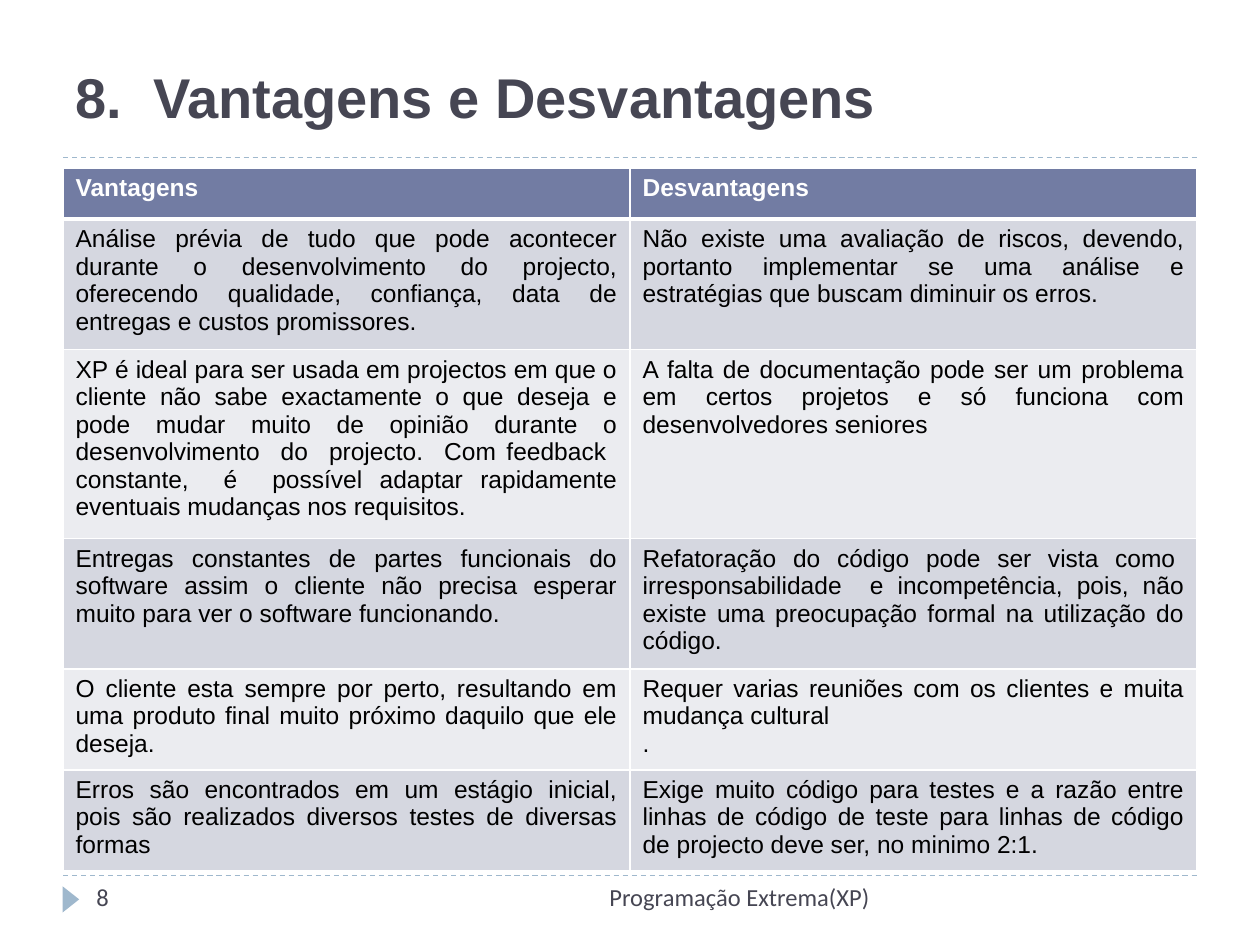
from dataclasses import dataclass

from lxml.etree import SubElement
from pptx import Presentation
from pptx.dml.color import RGBColor
from pptx.enum.dml import MSO_LINE
from pptx.enum.shapes import MSO_CONNECTOR, MSO_SHAPE
from pptx.enum.text import MSO_ANCHOR, PP_ALIGN
from pptx.oxml.ns import qn
from pptx.util import Pt


@dataclass(frozen=True)
class Theme:
    """Colours, fonts and type sizes of the slide."""
    ink: str = "464653"
    accent: str = "9FB8CD"
    header: str = "727CA3"
    bands: tuple = ("D5D7E0", "EBECF0")
    white: str = "FFFFFF"
    black: str = "000000"
    heading_font: str = "Arial"
    footer_font: str = "Calibri"
    title_size: int = 32
    text_size: int = 14


THEME = Theme()
LEFT, WIDTH = 36, 648
ROW_HEIGHT = 29.2

ROWS = [
    ("Vantagens", "Desvantagens"),
    ("Análise prévia de tudo que pode acontecer durante o desenvolvimento do projecto, "
     "oferecendo qualidade, confiança, data de entregas e custos promissores.",
     "Não existe uma avaliação de riscos, devendo, portanto implementar se uma análise e "
     "estratégias que buscam diminuir os erros."),
    ("XP é ideal para ser usada em projectos em que o cliente não sabe exactamente o que "
     "deseja e pode mudar muito de opinião durante o desenvolvimento  do  projecto.  Com "
     "feedback  constante,  é  possível adaptar rapidamente eventuais mudanças nos requisitos.",
     "A falta de documentação pode ser um problema em certos projetos e só funciona com "
     "desenvolvedores seniores"),
    ("Entregas constantes de partes funcionais do software assim o cliente não precisa "
     "esperar muito para ver o software funcionando.",
     "Refatoração  do  código  pode  ser  vista  como  irresponsabilidade  e incompetência, "
     "pois, não existe uma preocupação formal na utilização do código."),
    ("O cliente esta sempre por perto, resultando em uma produto final muito próximo "
     "daquilo que ele deseja.",
     "Requer varias reuniões com os clientes e muita mudança cultural\n."),
    ("Erros são encontrados em um estágio inicial, pois são realizados diversos testes de "
     "diversas formas",
     "Exige muito código para testes e a razão entre linhas de código de teste para linhas "
     "de código de projecto deve ser, no minimo 2:1."),
]


def style_text(frame, font, size, color, bold=False, align=PP_ALIGN.LEFT):
    """Format every paragraph and run of a text frame."""
    for para in frame.paragraphs:
        para.alignment = align
        for span in para.runs:
            span.font.name = font
            span.font.size = Pt(size)
            span.font.bold = bold
            span.font.color.rgb = RGBColor.from_string(color)


def add_text(page, text, left, top, width, height, anchor=MSO_ANCHOR.TOP, **style):
    """Add a wrapping text box in the ink colour."""
    box = page.shapes.add_textbox(Pt(left), Pt(top), Pt(width), Pt(height))
    frame = box.text_frame
    frame.word_wrap = True
    frame.vertical_anchor = anchor
    frame.text = text
    style_text(frame, color=THEME.ink, **style)


def add_rule(page, top):
    """Add a dashed rule across the content width."""
    rule = page.shapes.add_connector(
        MSO_CONNECTOR.STRAIGHT, Pt(LEFT), Pt(top), Pt(LEFT + WIDTH), Pt(top))
    rule.line.color.rgb = RGBColor.from_string(THEME.accent)
    rule.line.width = Pt(0.75)
    rule.line.dash_style = MSO_LINE.DASH
    SubElement(rule.element.spPr, qn("a:effectLst"))


def add_marker(page):
    """Add the triangle that points at the page number."""
    marker = page.shapes.add_shape(
        MSO_SHAPE.ISOSCELES_TRIANGLE, Pt(33), Pt(509.2), Pt(15), Pt(9.5))
    marker.rotation = 90
    marker.shadow.inherit = False
    marker.fill.solid()
    marker.fill.fore_color.rgb = RGBColor.from_string(THEME.accent)
    marker.line.fill.background()


def set_borders(cell, bottom=1, top=1):
    """Draw white borders around a table cell."""
    properties = cell._tc.get_or_add_tcPr()
    for side, width in (("lnL", 1), ("lnR", 1), ("lnT", top), ("lnB", bottom)):
        line = SubElement(properties, qn(f"a:{side}"), w=str(Pt(width)))
        fill = SubElement(line, qn("a:solidFill"))
        SubElement(fill, qn("a:srgbClr"), val=THEME.white)


def add_comparison(page):
    """Add the table of advantages and disadvantages."""
    table = page.shapes.add_table(
        len(ROWS), 2, Pt(LEFT), Pt(96), Pt(WIDTH), Pt(ROW_HEIGHT * len(ROWS))).table
    for row_index, texts in enumerate(ROWS):
        table.rows[row_index].height = Pt(ROW_HEIGHT)
        is_header = row_index == 0
        fill = THEME.header if is_header else THEME.bands[(row_index - 1) % 2]
        for column_index, text in enumerate(texts):
            cell = table.cell(row_index, column_index)
            set_borders(cell, bottom=3 if is_header else 1, top=3 if row_index == 1 else 1)
            cell.fill.solid()
            cell.fill.fore_color.rgb = RGBColor.from_string(fill)
            cell.text_frame.text = text
            style_text(cell.text_frame, THEME.heading_font, THEME.text_size,
                       THEME.white if is_header else THEME.black,
                       bold=is_header, align=PP_ALIGN.JUSTIFY)


def main():
    """Build and save the slide."""
    deck = Presentation()
    deck.slide_width, deck.slide_height = Pt(720), Pt(540)
    page = deck.slides.add_slide(deck.slide_layouts[6])
    for top in (90, 500.4):
        add_rule(page, top)
    add_marker(page)
    add_text(page, "8.  Vantagens e Desvantagens", LEFT, 21.6, WIDTH, 56.2,
             anchor=MSO_ANCHOR.BOTTOM, font=THEME.heading_font,
             size=THEME.title_size, bold=True)
    footer = {"font": THEME.footer_font, "size": THEME.text_size}
    add_text(page, "Programação Extrema(XP)", 228, 500.4, 276, 28.8,
             align=PP_ALIGN.RIGHT, **footer)
    add_text(page, "8", 48, 500.4, 156, 28.8, **footer)
    add_comparison(page)
    deck.save("out.pptx")


if __name__ == "__main__":
    main()
